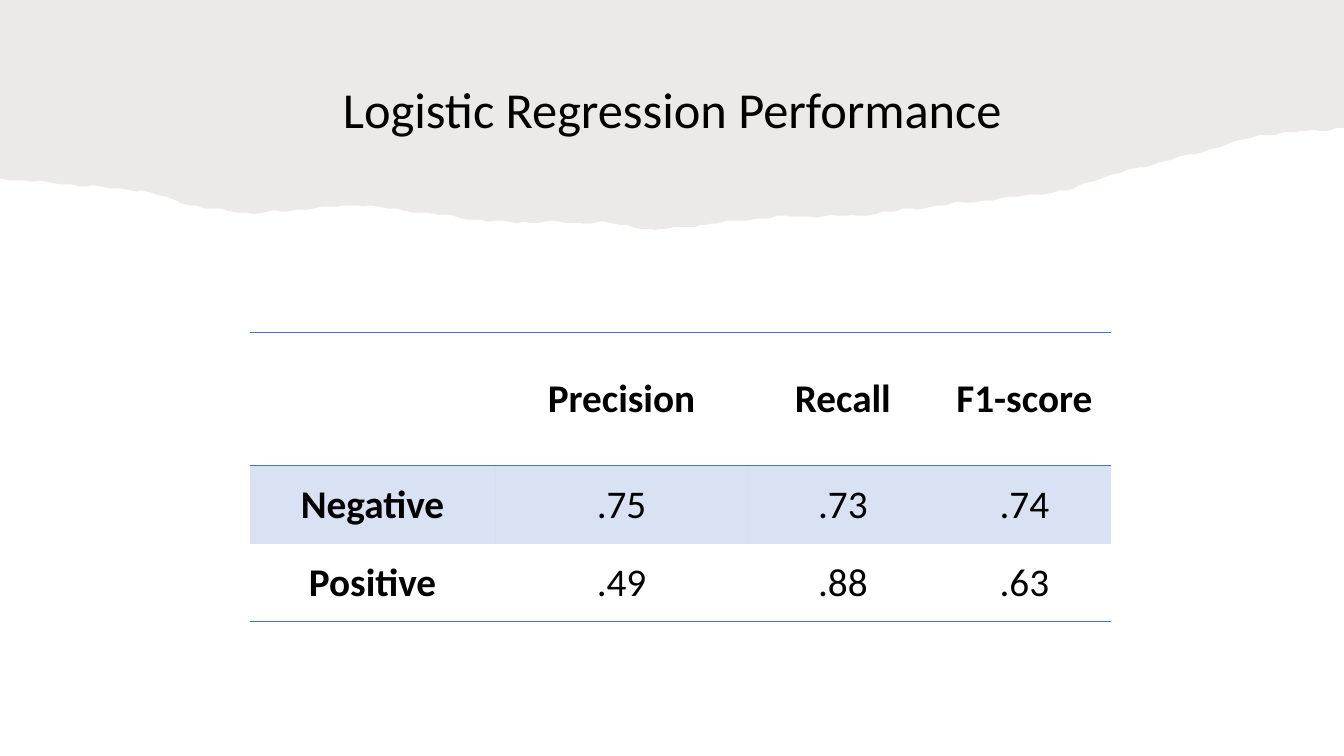
import itertools
import math

import pptx
import pptx.dml.color
import pptx.enum.text
import pptx.oxml.ns
import pptx.util
from lxml import etree

COLORS = {"paper": "82766A", "accent": "4472C4", "text": "000000"}
COLUMNS, ROWS = 1333, 750
PLAIN_TABLE_STYLE = "{2D5ABB26-0587-4C30-8999-92F81FD0307C}"

PAPER_DEPTH_AT_COLUMN = {
    0: 177, 140: 189, 200: 206, 250: 212, 355: 203, 490: 220, 600: 221, 650: 228,
    770: 215, 850: 214, 930: 204, 1060: 189, 1090: 177, 1190: 151, 1250: 134, COLUMNS: 127,
}
TEAR_STEP = 5

METRICS = ["Precision", "Recall", "F1-score"]
SCORES = {"Negative": [".75", ".73", ".74"], "Positive": [".49", ".88", ".63"]}


def ripple(column):
    return 0.8 * math.sin(column / 9) + 0.6 * math.sin(column / 4)


def torn_edge(depth_at_column):
    edge = []
    for (start, start_depth), (end, end_depth) in itertools.pairwise(depth_at_column.items()):
        slope = (end_depth - start_depth) / (end - start)
        for column in range(start, end, TEAR_STEP):
            depth = start_depth + slope * (column - start)
            edge.append((column, depth + ripple(column)))
    return edge + [(end, end_depth)]


class SlideBuilder:
    font = "Calibri"
    title_size = 36
    table_size = 28
    cell_margins = (18, 9)
    line_width = 1

    def __init__(self, deck):
        self.column = deck.slide_width / COLUMNS
        self.row = deck.slide_height / ROWS
        self.page = deck.slides.add_slide(deck.slide_layouts[5])

    def across(self, columns):
        return round(columns * self.column)

    def down(self, rows):
        return round(rows * self.row)

    def paint(self, fill, color, opacity):
        fill.solid()
        fill.fore_color.rgb = pptx.dml.color.RGBColor.from_string(COLORS[color])
        tint = fill._xPr.find(".//" + pptx.oxml.ns.qn("a:srgbClr"))
        etree.SubElement(tint, pptx.oxml.ns.qn("a:alpha"), val=str(opacity * 1000))

    def style_text(self, frame, size, bold=False):
        for para in frame.paragraphs:
            para.alignment = pptx.enum.text.PP_ALIGN.CENTER
            for span in para.runs:
                span.font.name = self.font
                span.font.size = pptx.util.Pt(size)
                span.font.bold = bold
                span.font.color.rgb = pptx.dml.color.RGBColor.from_string(COLORS["text"])

    def torn_paper(self, edge, color, opacity):
        outline = self.page.shapes.build_freeform(0, 0, (self.column, self.row))
        outline.add_line_segments(edge + [(COLUMNS, 0)], close=True)
        paper = outline.convert_to_shape()
        paper.shadow.inherit = False
        paper.line.fill.background()
        self.paint(paper.fill, color, opacity)
        title = self.page.shapes.title
        title._element.addprevious(paper._element)

    def title(self, text, left, top, width, height):
        box = self.page.shapes.title
        box.left, box.top = self.across(left), self.down(top)
        box.width, box.height = self.across(width), self.down(height)
        frame = box.text_frame
        frame.text = text
        frame.word_wrap = True
        frame.auto_size = pptx.enum.text.MSO_AUTO_SIZE.NONE
        frame.vertical_anchor = pptx.enum.text.MSO_ANCHOR.BOTTOM
        frame.paragraphs[0].line_spacing = 0.9
        self.style_text(frame, self.title_size)

    def borders(self, cell, sides, color):
        properties = cell._tc.get_or_add_tcPr()
        for position, side in enumerate(sides):
            width = str(pptx.util.Pt(self.line_width))
            line = etree.Element(pptx.oxml.ns.qn("a:" + side), w=width)
            solid = etree.SubElement(line, pptx.oxml.ns.qn("a:solidFill"))
            etree.SubElement(solid, pptx.oxml.ns.qn("a:srgbClr"), val=COLORS[color])
            properties.insert(position, line)

    def cell(self, cell, text, bold):
        cell.text = text
        cell.vertical_anchor = pptx.enum.text.MSO_ANCHOR.MIDDLE
        side_margin, end_margin = self.cell_margins
        cell.margin_left = cell.margin_right = self.across(side_margin)
        cell.margin_top = cell.margin_bottom = self.down(end_margin)
        self.style_text(cell.text_frame, self.table_size, bold)

    def table(self, values, left, top, widths, heights):
        grid = self.page.shapes.add_table(
            len(heights), len(widths), self.across(left), self.down(top),
            self.across(sum(widths)), self.down(sum(heights))).table
        grid._tbl.tblPr.find(pptx.oxml.ns.qn("a:tableStyleId")).text = PLAIN_TABLE_STYLE
        for column, width in zip(grid.columns, widths):
            column.width = self.across(width)
        for row, height in zip(grid.rows, heights):
            row.height = self.down(height)
        for row_index, row_values in enumerate(values):
            is_header = row_index == 0
            is_band = row_index % 2 == 1
            for column_index, value in enumerate(row_values):
                cell = grid.cell(row_index, column_index)
                self.cell(cell, value, bold=is_header or column_index == 0)
                if is_band:
                    self.paint(cell.fill, "accent", 20)
                else:
                    cell.fill.background()
                    self.borders(cell, ["lnT", "lnB"] if is_header else ["lnB"], "accent")


def main():
    deck = pptx.Presentation()
    deck.slide_width = pptx.util.Inches(13.33)
    deck.slide_height = pptx.util.Inches(7.5)
    slide = SlideBuilder(deck)
    slide.torn_paper(torn_edge(PAPER_DEPTH_AT_COLUMN), "paper", opacity=15)
    slide.title("Logistic Regression Performance", left=91, top=54, width=1152, height=89)
    header = ["", *METRICS]
    score_rows = [[label, *scores] for label, scores in SCORES.items()]
    slide.table(
        [header, *score_rows], left=248, top=330,
        widths=[243, 251, 188, 172], heights=[132] + [77.5] * len(score_rows))
    deck.save("out.pptx")


if __name__ == "__main__":
    main()
